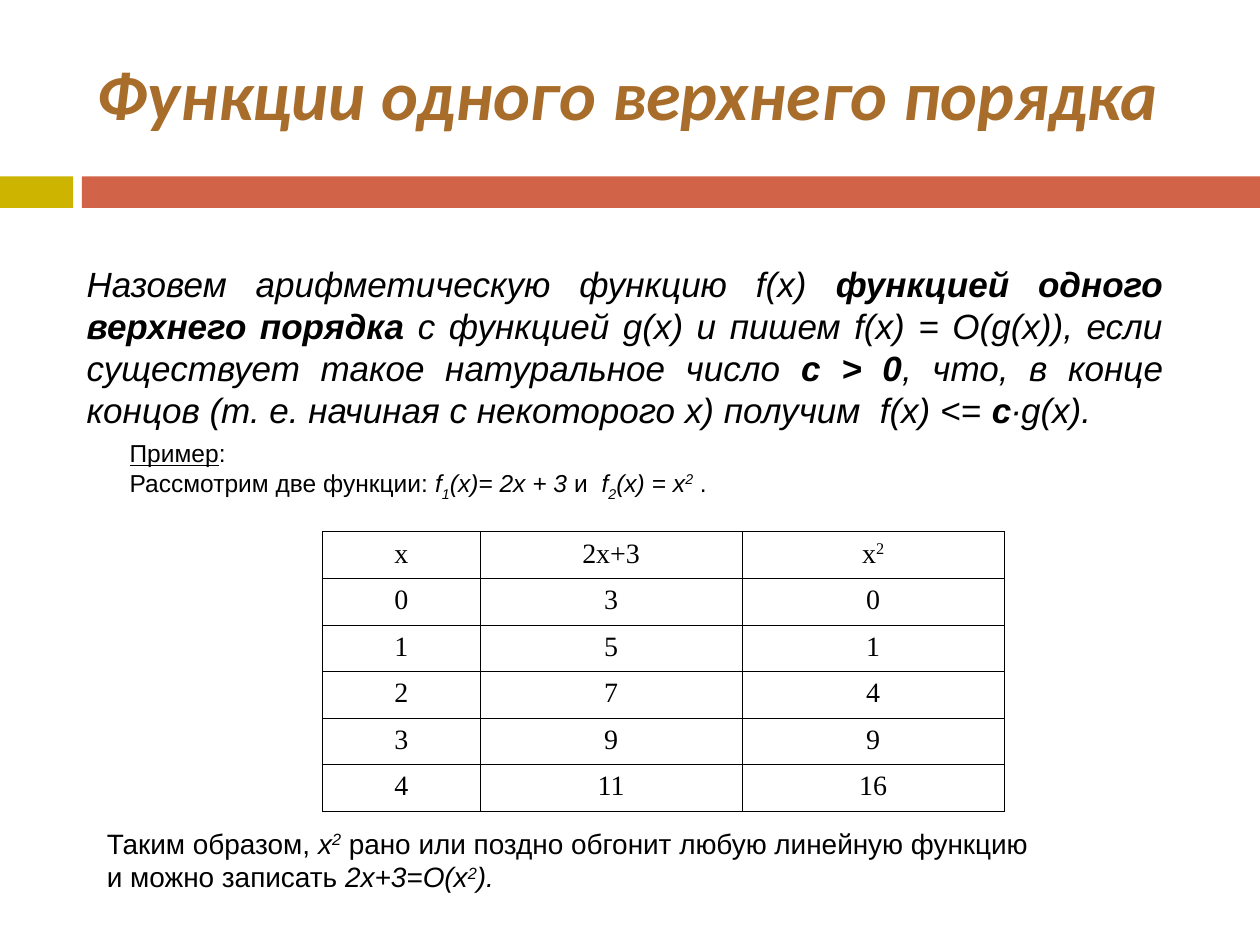
from dataclasses import dataclass
from lxml.etree import SubElement
from pptx import Presentation
from pptx.dml.color import RGBColor
from pptx.enum.shapes import MSO_SHAPE as SHAPE
from pptx.enum.text import MSO_ANCHOR as ANCHOR, PP_ALIGN as ALIGN
from pptx.oxml.ns import qn
from pptx.util import Inches, Pt

BLACK = RGBColor(0x00, 0x00, 0x00)
BROWN = RGBColor(0xA9, 0x6D, 0x2B)
OLIVE = RGBColor(0xCC, 0xB4, 0x00)
RUST = RGBColor(0xD1, 0x63, 0x49)
COLS, ROWS = 100, 75


@dataclass
class Deck:
    prs: object
    s: object
    font: str = "Arial"
    table_font: str = "Times New Roman"
    border: float = 0.45

    def place(self, x, y, w, h):
        cw, rh = self.prs.slide_width / COLS, self.prs.slide_height / ROWS
        return [round(v) for v in (x * cw, y * rh, w * cw, h * rh)]

    def bar(self, box, color):
        sp = self.s.shapes.add_shape(SHAPE.RECTANGLE, *self.place(*box))
        sp.shadow.inherit = False
        sp.fill.solid()
        sp.fill.fore_color.rgb = color
        sp.line.fill.background()

    def fill_paragraph(self, p, runs, size, font, color=BLACK,
                       align=ALIGN.LEFT):
        p.alignment = align
        p.font.size, p.font.name = Pt(size), font
        p.font.color.rgb = color
        for text, marks in runs:
            r = p.add_run()
            r.text = text
            if "b" in marks:
                r.font.bold = True
            if "i" in marks:
                r.font.italic = True
            if "u" in marks:
                r.font.underline = True
            for mark, shift in (("^", "30000"), ("_", "-30000")):
                if mark in marks:
                    r._r.get_or_add_rPr().set("baseline", shift)

    def text(self, box, lines, size, anchor=ANCHOR.MIDDLE, wrap=True,
             font=None, color=BLACK, align=ALIGN.LEFT, spacing=None):
        tf = self.s.shapes.add_textbox(*self.place(*box)).text_frame
        tf.word_wrap = wrap
        tf.vertical_anchor = anchor
        for i, runs in enumerate(lines):
            p = tf.add_paragraph() if i else tf.paragraphs[0]
            self.fill_paragraph(p, runs, size, font or self.font, color, align)
            if spacing:
                p.line_spacing = Pt(spacing)

    def outline(self, cell):
        tc_pr = cell._tc.get_or_add_tcPr()
        for side in ("lnL", "lnR", "lnT", "lnB"):
            ln = SubElement(tc_pr, qn(f"a:{side}"), w=str(Pt(self.border)))
            fill = SubElement(ln, qn("a:solidFill"))
            SubElement(fill, qn("a:srgbClr"), val=str(BLACK))

    def table(self, x, y, widths, row_height, rows, size):
        box = self.place(x, y, sum(widths), row_height * len(rows))
        table = self.s.shapes.add_table(len(rows), len(widths), *box).table
        table.first_row = table.horz_banding = False
        for column, width in zip(table.columns, widths):
            column.width = self.place(0, 0, width, 0)[2]
        for i, row in enumerate(rows):
            for j, runs in enumerate(row):
                cell = table.cell(i, j)
                self.outline(cell)
                cell.fill.background()
                self.fill_paragraph(cell.text_frame.paragraphs[0], runs, size,
                                    self.table_font, align=ALIGN.CENTER)


def main():
    prs = Presentation()
    prs.slide_width, prs.slide_height = Inches(10), Inches(7.5)
    deck = Deck(prs, prs.slides.add_slide(prs.slide_layouts[6]))

    deck.bar((0, 14, 5.8, 2.5), OLIVE)
    deck.bar((6.5, 14, 93.5, 2.5), RUST)
    deck.text((6.7, 2.5, 89.2, 10.8),
              [[("Функции одного верхнего порядка", "bi")]],
              40, font="Calibri", color=BROWN, spacing=40)

    deck.text((5.9, 20.3, 87.4, 14.4), [[
        ("Назовем арифметическую функцию f(x) ", "i"),
        ("функцией одного верхнего порядка", "bi"),
        (" с функцией g(x) и пишем f(x) = O(g(x)), если существует "
         "такое натуральное число ", "i"),
        ("c > 0", "bi"),
        (", что, в конце концов (т. е. начиная с некоторого x) "
         "получим  f(x) <= ", "i"),
        ("c", "bi"),
        ("∙g(x).", "i"),
    ]], 20, align=ALIGN.JUSTIFY)

    deck.text((9.3, 34.3, 47.9, 8.4), [
        [("Пример", "u"), (":", "")],
        [("Рассмотрим две функции: ", ""), ("f", "i"), ("1", "i_"),
         ("(x)= 2x + 3", "i"), (" и  ", ""), ("f", "i"), ("2", "i_"),
         ("(x) = x", "i"), ("2", "i^"), (" .", "")],
    ], 14, anchor=ANCHOR.TOP, wrap=False)

    header = [[("x", "")], [("2x+3", "")], [("x", ""), ("2", "^")]]
    values = [[[(str(v), "")] for v in (x, 2 * x + 3, x * x)]
              for x in range(5)]
    deck.table(25.6, 42.2, (12.5, 20.8, 20.8), 3.7, [header] + values, 16)

    deck.text((7.5, 62.7, 92.5, 8.7), [
        [("Таким образом, ", ""), ("x", "i"), ("2", "i^"),
         (" рано или поздно обгонит любую линейную функцию", "")],
        [("и можно записать ", ""), ("2х+3=О(x", "i"), ("2", "i^"),
         (").", "i")],
    ], 16, anchor=ANCHOR.BOTTOM, align=ALIGN.JUSTIFY)

    prs.save("out.pptx")


if __name__ == "__main__":
    main()
